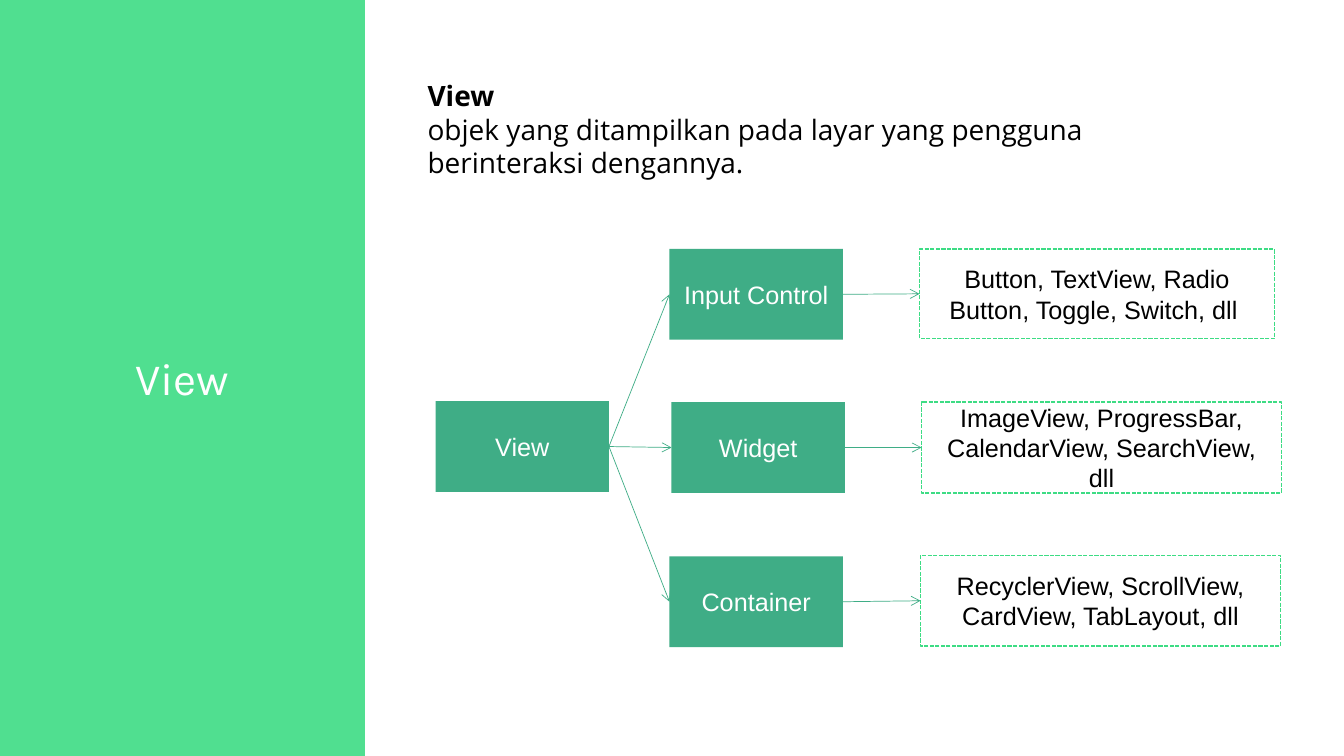
"""Build a slide that sorts screen views into three groups."""
from dataclasses import dataclass

from pptx import Presentation
from pptx.dml.color import RGBColor
from pptx.enum.dml import MSO_LINE
from pptx.enum.shapes import MSO_CONNECTOR, MSO_SHAPE
from pptx.enum.text import MSO_ANCHOR, MSO_AUTO_SIZE, PP_ALIGN
from pptx.oxml.ns import qn
from pptx.util import Emu, Pt
from lxml import etree

RECT = MSO_SHAPE.RECTANGLE
LINE = MSO_CONNECTOR.STRAIGHT
DASH = MSO_LINE.SQUARE_DOT
MIDDLE, TOP = MSO_ANCHOR.MIDDLE, MSO_ANCHOR.TOP
CENTER, LEFT = PP_ALIGN.CENTER, PP_ALIGN.LEFT
FIXED = MSO_AUTO_SIZE.NONE
EMU_PX = 9144
WIDE, HIGH = 1333, 750
LEFT_SIDE, RIGHT_SIDE = 1, 3
NODE_W, NODE_H = 172, 90

INTRO = (
    "View",
    "objek yang ditampilkan pada layar yang pengguna berinteraksi dengannya.",
)
ROWS = (
    ("Input Control", (664, 247), "Button, TextView, Radio Button, Toggle, Switch, dll ",
     (912, 247, 352, 89)),
    ("Widget", (666, 399), "ImageView, ProgressBar, CalendarView, SearchView, dll",
     (914, 399, 357, 90)),
    ("Container", (664, 552), "RecyclerView, ScrollView, CardView, TabLayout, dll",
     (913, 551, 357, 90)),
)


@dataclass(frozen=True)
class Theme:
    """Hold the colours, fonts and type sizes."""
    green: RGBColor = RGBColor(0x3D, 0xDC, 0x84)
    teal: RGBColor = RGBColor(0x3F, 0xAD, 0x86)
    white: RGBColor = RGBColor(0xFF, 0xFF, 0xFF)
    black: RGBColor = RGBColor(0, 0, 0)
    head_font: str = "Karla"
    text_font: str = "Open Sans"
    node_font: str = "Arial"
    head_size: int = 32
    text_size: int = 20
    node_size: int = 18


THEME = Theme()


def px(*nums):
    """Turn px lengths into EMU."""
    return [Emu(num * EMU_PX) for num in nums]


def place(shape, *area):
    """Move and size a placeholder."""
    shape.left, shape.top, shape.width, shape.height = px(*area)


def style(frame, font, size, color, align, anchor):
    """Format all text in a frame."""
    frame.word_wrap = True
    frame.auto_size = FIXED
    frame.vertical_anchor = anchor
    for para in frame.paragraphs:
        para.alignment = align
        para.space_before = Pt(0)
        for run in para.runs:
            run.font.name = font
            run.font.size = Pt(size)
            run.font.color.rgb = color


def add_title(slide):
    """Make the title a pale green side panel."""
    title = slide.shapes.title
    place(title, 0, 0, 362, HIGH)
    title.fill.solid()
    title.fill.fore_color.rgb = THEME.green
    color = title.fill._xPr.find(".//" + qn("a:srgbClr"))
    etree.SubElement(color, qn("a:alpha"), val="90000")
    title.text_frame.text = "View"
    style(title.text_frame, THEME.head_font, THEME.head_size, THEME.white, CENTER, MIDDLE)


def add_intro(slide):
    """Put the term and its meaning in the body."""
    body = slide.placeholders[1]
    place(body, 414, 73, 823, 111)
    frame = body.text_frame
    frame.text = "\n".join(INTRO)
    style(frame, THEME.text_font, THEME.text_size, THEME.black, LEFT, TOP)
    for para in frame.paragraphs:
        props = para._p.get_or_add_pPr()
        props.set("marL", "0")
        props.set("indent", "0")
        etree.SubElement(props, qn("a:buNone"))
    frame.paragraphs[0].runs[0].font.bold = True


def add_box(slide, text, area, color):
    """Add a box with centred text."""
    box = slide.shapes.add_shape(RECT, *px(*area))
    box.shadow.inherit = False
    box.text_frame.text = text
    style(box.text_frame, THEME.node_font, THEME.node_size, color, CENTER, MIDDLE)
    return box


def add_node(slide, text, spot):
    """Add a solid teal box."""
    node = add_box(slide, text, (*spot, NODE_W, NODE_H), THEME.white)
    node.fill.solid()
    node.fill.fore_color.rgb = THEME.teal
    node.line.fill.background()
    return node


def add_note(slide, text, area):
    """Add a dashed box with no fill."""
    note = add_box(slide, text, area, THEME.black)
    note.fill.background()
    note.line.color.rgb = THEME.green
    note.line.width = Pt(1)
    note.line.dash_style = DASH
    return note


def add_arrow(slide, start, end):
    """Join two boxes with a thin arrow."""
    arrow = slide.shapes.add_connector(LINE, 0, 0, 0, 0)
    arrow.begin_connect(start, RIGHT_SIDE)
    arrow.end_connect(end, LEFT_SIDE)
    arrow.line.color.rgb = THEME.teal
    arrow.line.width = Pt(0.5)
    etree.SubElement(arrow.line._get_or_add_ln(), qn("a:tailEnd"), type="arrow")
    etree.SubElement(arrow._element.spPr, qn("a:effectLst"))


def main():
    """Build and save the slide."""
    deck = Presentation()
    deck.slide_width, deck.slide_height = px(WIDE, HIGH)
    slide = deck.slides.add_slide(deck.slide_layouts[1])
    add_title(slide)
    add_intro(slide)
    root = add_node(slide, "View", (432, 398))
    for name, spot, items, area in ROWS:
        node = add_node(slide, name, spot)
        note = add_note(slide, items, area)
        add_arrow(slide, root, node)
        add_arrow(slide, node, note)
    deck.save("out.pptx")


if __name__ == "__main__":
    main()
